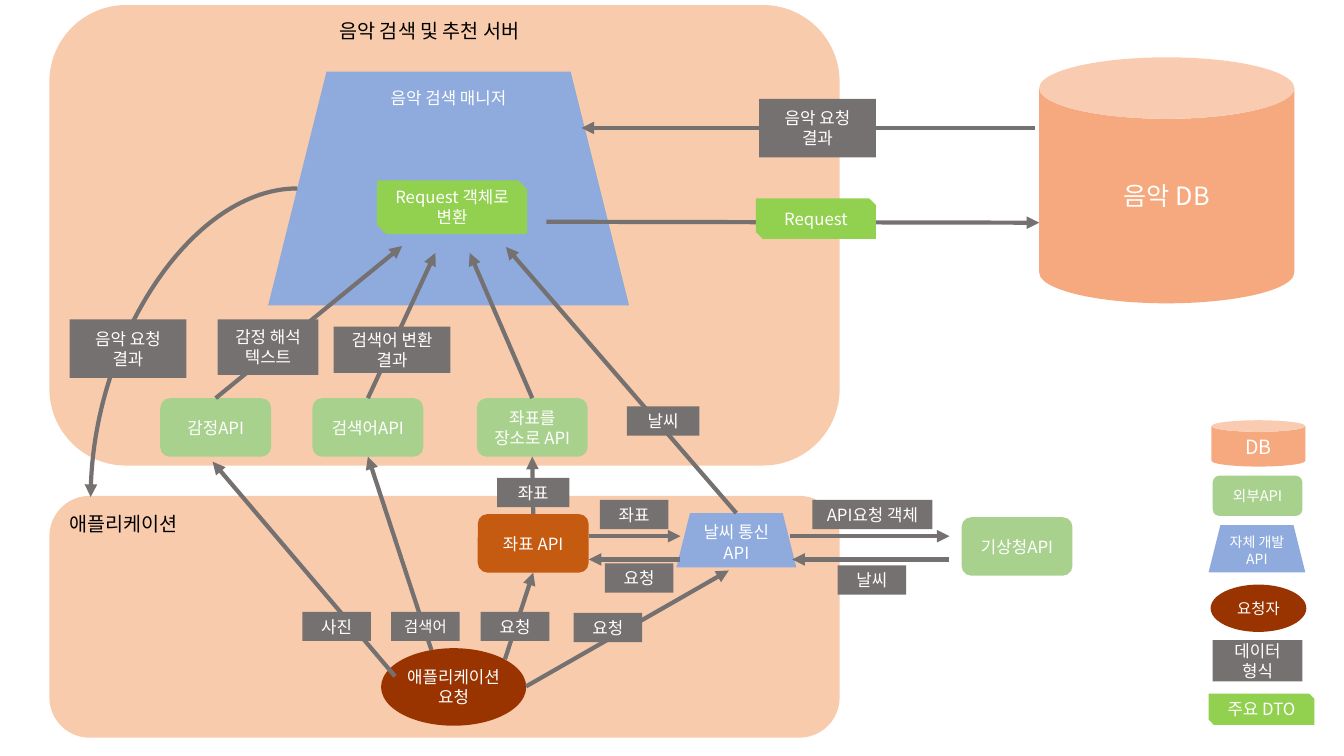
from lxml.etree import SubElement
from pptx import Presentation
from pptx.dml.color import RGBColor
from pptx.enum.shapes import MSO_CONNECTOR, MSO_SHAPE
from pptx.enum.text import MSO_ANCHOR, PP_ALIGN
from pptx.oxml.ns import qn
from pptx.util import Pt

FONT = "Noto Sans CJK KR"
COLORS = {
    "panel": "F8CBAD",
    "db": "F6A97E",
    "external": "A9D18E",
    "own": "8FAADC",
    "requester": "993300",
    "data": "767171",
    "dto": "92D050",
    "coordinate": "C55A11",
    "white": "FFFFFF",
    "black": "000000",
}
PRESETS = {
    "panel": MSO_SHAPE.ROUNDED_RECTANGLE,
    "db": MSO_SHAPE.CAN,
    "external": MSO_SHAPE.ROUNDED_RECTANGLE,
    "own": MSO_SHAPE.TRAPEZOID,
    "requester": MSO_SHAPE.OVAL,
    "data": MSO_SHAPE.RECTANGLE,
    "dto": MSO_SHAPE.SNIP_2_DIAG_RECTANGLE,
    "coordinate": MSO_SHAPE.ROUNDED_RECTANGLE,
}
TOP, BOTTOM = 0, 2
API_SIZE = (79.2, 41.8)
TAG_SIZE = (49, 20.9)
WIDE_TAG_SIZE = (51.8, 20.9)
RESULT_SIZE = (83.5, 41.8)


def rgb(name):
    return RGBColor.from_string(COLORS[name])


def write(sp, text, size, color, align):
    tf = sp.text_frame
    tf.word_wrap = True
    for i, line in enumerate(text.split("\n")):
        p = tf.paragraphs[0] if i == 0 else tf.add_paragraph()
        p.alignment = align
        r = p.add_run()
        r.text = line
        r.font.size = Pt(size)
        r.font.name = FONT
        r.font.color.rgb = rgb(color)
        SubElement(r.font._element, qn("a:ea")).set("typeface", FONT)


def box(shapes, kind, pos, size, text="", font_size=12):
    sp = shapes.add_shape(PRESETS[kind], *map(Pt, pos + size))
    sp.shadow.inherit = False
    sp.fill.solid()
    sp.fill.fore_color.rgb = rgb(kind)
    sp.line.fill.background()
    if text:
        sp.text_frame.vertical_anchor = MSO_ANCHOR.MIDDLE
        write(sp, text, font_size, "white", PP_ALIGN.CENTER)
    return sp


def label(shapes, pos, size, text, font_size=14, color="black", align=PP_ALIGN.LEFT):
    sp = shapes.add_textbox(*map(Pt, pos + size))
    write(sp, text, font_size, color, align)


def arrow(shapes, start, end, kind=MSO_CONNECTOR.STRAIGHT):
    cxn = shapes.add_connector(kind, 0, 0, 0, 0)
    ends = (
        (start, "begin_x", "begin_y", cxn.begin_connect),
        (end, "end_x", "end_y", cxn.end_connect),
    )
    for (first, second), x_name, y_name, connect in ends:
        if hasattr(first, "shape_id"):
            connect(first, second)
        else:
            setattr(cxn, x_name, Pt(first))
            setattr(cxn, y_name, Pt(second))
    cxn.line.color.rgb = rgb("data")
    cxn.line.width = Pt(3)
    ln = cxn.line._get_or_add_ln()
    SubElement(ln, qn("a:tailEnd")).set("type", "triangle")
    props = cxn._element.spPr
    SubElement(props, qn("a:effectLst"))
    if kind == MSO_CONNECTOR.CURVE:
        props.find(qn("a:prstGeom")).set("prst", "curvedConnector2")


def add_nodes(shapes):
    box(shapes, "panel", (35.3, 354.2), (564.5, 172.8))
    box(shapes, "panel", (35.3, 3.6), (564.5, 329))
    label(shapes, (235.4, 10.1), (164.2, 24.5), "음악 검색 및 추천 서버")
    label(shapes, (42.5, 362.2), (133.2, 24.5), "애플리케이션")
    box(shapes, "own", (191.5, 51.1), (257.8, 167))
    label(shapes, (240, 58.8), (160.8, 25), "음악 검색 매니저", 12, "white", PP_ALIGN.CENTER)
    box(shapes, "dto", (269.3, 128.9), (107.3, 38.2), "Request 객체로 변환")
    box(shapes, "db", (742.3, 41), (182.2, 175.7), "음악 DB", 18)
    box(shapes, "external", (686.9, 369.4), API_SIZE, "기상청API")
    requester = box(shapes, "requester", (272.2, 463), (103.7, 55.4), "애플리케이션\n요청")
    requester.text_frame.word_wrap = False
    return {
        "emotion": box(shapes, "external", (114.5, 284.4), API_SIZE, "감정API"),
        "keyword": box(shapes, "external", (223.2, 284.4), API_SIZE, "검색어API"),
        "place": box(shapes, "external", (340.6, 284.4), API_SIZE, "좌표를 장소로 API"),
        "coordinate": box(shapes, "coordinate", (341.3, 367.2), API_SIZE, "좌표 API"),
        "weather": box(shapes, "own", (483.1, 366.5), (85.7, 38.9), "날씨 통신API"),
    }


def add_arrows(shapes, nodes):
    for start, end in (
        ((308.2, 464.4), (nodes["keyword"], BOTTOM)),
        ((282.2, 483.1), (151.9, 329.8)),
        ((360.7, 470.9), (nodes["coordinate"], BOTTOM)),
        ((375.8, 490.3), (520.6, 407.5)),
        ((nodes["weather"], TOP), (361.4, 176.4)),
        ((nodes["coordinate"], TOP), (nodes["place"], BOTTOM)),
        ((nodes["keyword"], TOP), (311, 180.7)),
        ((nodes["emotion"], TOP), (287.3, 175.7)),
        ((nodes["place"], TOP), (335.5, 180.7)),
        ((739.4, 91.4), (415.4, 91.4)),
        ((390.2, 158.4), (742.3, 159.1)),
        ((420.5, 383), (486, 383)),
        ((486, 399.6), (420.5, 399.6)),
        ((564.5, 383), (678.2, 383)),
        ((678.2, 399.6), (565.9, 399.6)),
    ):
        arrow(shapes, start, end)
    arrow(shapes, (212.4, 134.6), (64.8, 355), MSO_CONNECTOR.CURVE)


def add_data_tags(shapes):
    for text, pos, size, font_size in (
        ("사진", (216, 437), TAG_SIZE, 12),
        ("검색어", (279.4, 437), TAG_SIZE, 11),
        ("요청", (343.4, 437), TAG_SIZE, 12),
        ("요청", (409.7, 437.8), TAG_SIZE, 12),
        ("요청", (432, 402.5), TAG_SIZE, 12),
        ("좌표", (428.4, 357.1), TAG_SIZE, 12),
        ("날씨", (598.3, 403.9), TAG_SIZE, 12),
        ("좌표", (355, 341.3), WIDE_TAG_SIZE, 12),
        ("날씨", (447.8, 290.2), WIDE_TAG_SIZE, 12),
        ("API요청 객체", (580.3, 357.1), (85.7, 20.9), 12),
        ("검색어 변환 결과", (238.3, 233.3), (83.5, 33.1), 12),
        ("감정 해석 텍스트", (155.5, 228.2), (72, 39.6), 12),
        ("음악 요청\n결과", (542.2, 70.6), RESULT_SIZE, 12),
        ("음악 요청\n결과", (49.7, 228.2), RESULT_SIZE, 12),
    ):
        box(shapes, "data", pos, size, text, font_size)
    box(shapes, "dto", (540, 141.8), (85.7, 28.8), "Request")


def add_legend(shapes):
    for kind, text, pos, size, font_size in (
        ("db", "DB", (865.4, 300.2), (67, 33.1), 14),
        ("external", "외부API", (866.2, 339.8), (64.1, 28.8), 10.5),
        ("own", "자체 개발 API", (863.3, 375.1), (69.1, 33.8), 10),
        ("requester", "요청자", (864.7, 417.6), (68.4, 33.8), 11),
        ("data", "데이터 형식", (866.2, 457.2), (64.1, 29.5), 12),
        ("dto", "주요 DTO", (863.3, 495.4), (75.6, 22.3), 12),
    ):
        box(shapes, kind, pos, size, text, font_size)


def main():
    prs = Presentation()
    prs.slide_width, prs.slide_height = Pt(960), Pt(540)
    shapes = prs.slides.add_slide(prs.slide_layouts[6]).shapes
    nodes = add_nodes(shapes)
    add_arrows(shapes, nodes)
    add_data_tags(shapes)
    add_legend(shapes)
    prs.save("out.pptx")


if __name__ == "__main__":
    main()
